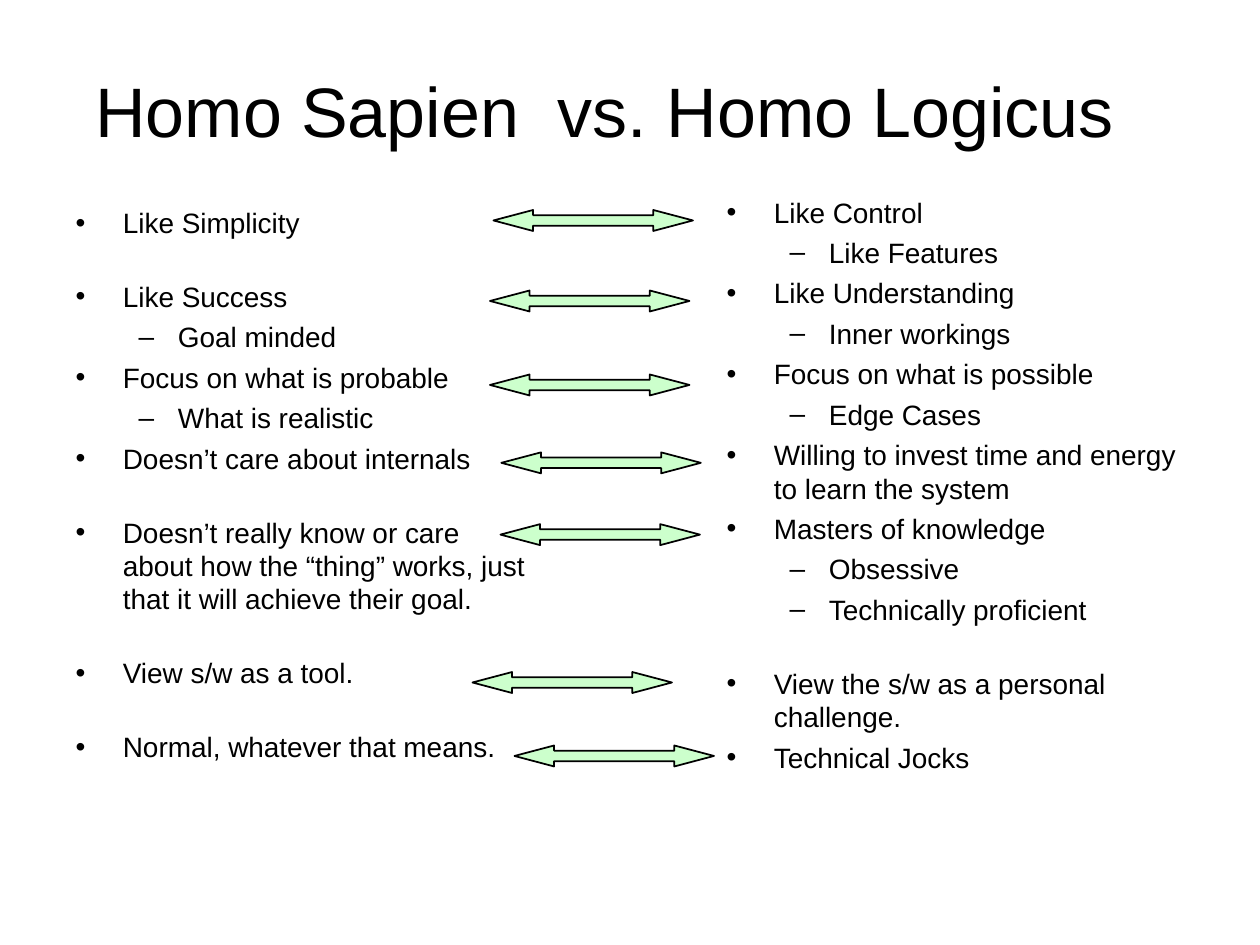
from lxml import etree
from pptx import Presentation
from pptx import util as u
from pptx.dml.color import RGBColor
from pptx.enum import shapes, text
from pptx.oxml import ns

COLORS = {"ink": "000000", "arrow": "CCFFCC", "background": "FFFFFF"}
LINE = 19.1  # line pitch of the lists, also the gap after a spaced item

# Each item: wording, level, gap after it
SAPIEN = [
    ("Like Simplicity", 0, True),
    ("Like Success", 0, False),
    ("Goal minded", 1, False),
    ("Focus on what is probable", 0, False),
    ("What is realistic", 1, False),
    ("Doesn’t care about internals", 0, True),
    ("Doesn’t really know or care about how the “thing” works, "
     "just that it will achieve their goal.", 0, True),
    ("View s/w as a tool.", 0, True),
    ("Normal, whatever that means.", 0, False),
]
LOGICUS = [
    ("Like Control", 0, False),
    ("Like Features", 1, False),
    ("Like Understanding", 0, False),
    ("Inner workings", 1, False),
    ("Focus on what is possible", 0, False),
    ("Edge Cases", 1, False),
    ("Willing to invest time and energy to learn the system", 0, False),
    ("Masters of knowledge", 0, False),
    ("Obsessive", 1, False),
    ("Technically proficient", 1, True),
    ("View the s/w as a personal challenge.", 0, False),
    ("Technical Jocks", 0, False),
]
# Left and top of each arrow
ARROWS = [(282, 120), (280, 166), (280, 214), (286.5, 258.5),
          (286, 299.5), (270, 384), (294, 426)]


class SlideBuilder:
    font = "Arial"
    bullets = [("•", 27, -27), ("–", 58.5, -22.5)]  # sign, margin, indent

    def __init__(self, slide):
        self.slide = slide
        background = slide.background.fill
        background.solid()
        background.fore_color.rgb = self.color("background")

    def color(self, name):
        return RGBColor.from_string(COLORS[name])

    def place(self, shape, left, top, width, height):
        shape.left, shape.top = u.Pt(left), u.Pt(top)
        shape.width, shape.height = u.Pt(width), u.Pt(height)

    def add_run(self, paragraph, wording, size):
        run = paragraph.add_run()
        run.text = wording
        run.font.name = self.font
        run.font.size = u.Pt(size)
        run.font.color.rgb = self.color("ink")

    def frame(self, shape, anchor):
        frame = shape.text_frame
        frame.word_wrap = True
        frame.auto_size = text.MSO_AUTO_SIZE.NONE
        frame.vertical_anchor = anchor
        return frame

    def title(self, wording, *box):
        shape = self.slide.shapes.title
        self.place(shape, *box)
        paragraph = self.frame(shape, text.MSO_ANCHOR.MIDDLE).paragraphs[0]
        paragraph.alignment = text.PP_ALIGN.CENTER
        self.add_run(paragraph, wording, 40)

    def bullet(self, paragraph, level):
        sign, margin, indent = self.bullets[level]
        properties = paragraph._p.get_or_add_pPr()
        properties.set("marL", str(u.Pt(margin)))
        properties.set("indent", str(u.Pt(indent)))
        color = etree.SubElement(properties, ns.qn("a:buClr"))
        etree.SubElement(color, ns.qn("a:srgbClr"), val=COLORS["ink"])
        etree.SubElement(properties, ns.qn("a:buFont"), typeface=self.font)
        etree.SubElement(properties, ns.qn("a:buChar"), char=sign)

    def bullet_list(self, index, items, *box):
        shape = self.slide.placeholders[index]
        self.place(shape, *box)
        frame = self.frame(shape, text.MSO_ANCHOR.TOP)
        for number, (wording, level, gap) in enumerate(items):
            paragraph = frame.add_paragraph() if number else frame.paragraphs[0]
            paragraph.level = level
            paragraph.line_spacing = u.Pt(LINE)
            paragraph.space_before = u.Pt(4)
            paragraph.space_after = u.Pt(LINE if gap else 0)
            self.bullet(paragraph, level)
            self.add_run(paragraph, wording, 16)

    def double_arrow(self, left, top):
        shape = self.slide.shapes.add_shape(
            shapes.MSO_SHAPE.LEFT_RIGHT_ARROW,
            u.Pt(left), u.Pt(top), u.Pt(114), u.Pt(12))
        shape.adjustments[0], shape.adjustments[1] = 0.5, 1.89
        shape.shadow.inherit = False
        shape.fill.solid()
        shape.fill.fore_color.rgb = self.color("arrow")
        shape.line.color.rgb = self.color("ink")
        shape.line.width = u.Pt(1)


def main():
    presentation = Presentation()
    presentation.slide_width, presentation.slide_height = u.Pt(720), u.Pt(540)
    two_content = presentation.slide_layouts[3]
    builder = SlideBuilder(presentation.slides.add_slide(two_content))

    # Title
    builder.title("Homo Sapien  vs. Homo Logicus", 30, 42, 631, 41)

    # The two lists
    builder.bullet_list(1, SAPIEN, 36, 114, 276.5, 354)
    builder.bullet_list(2, LOGICUS, 408, 108, 276.5, 354)

    # Arrows between matching points
    for left, top in ARROWS:
        builder.double_arrow(left, top)

    presentation.save("out.pptx")


if __name__ == "__main__":
    main()
